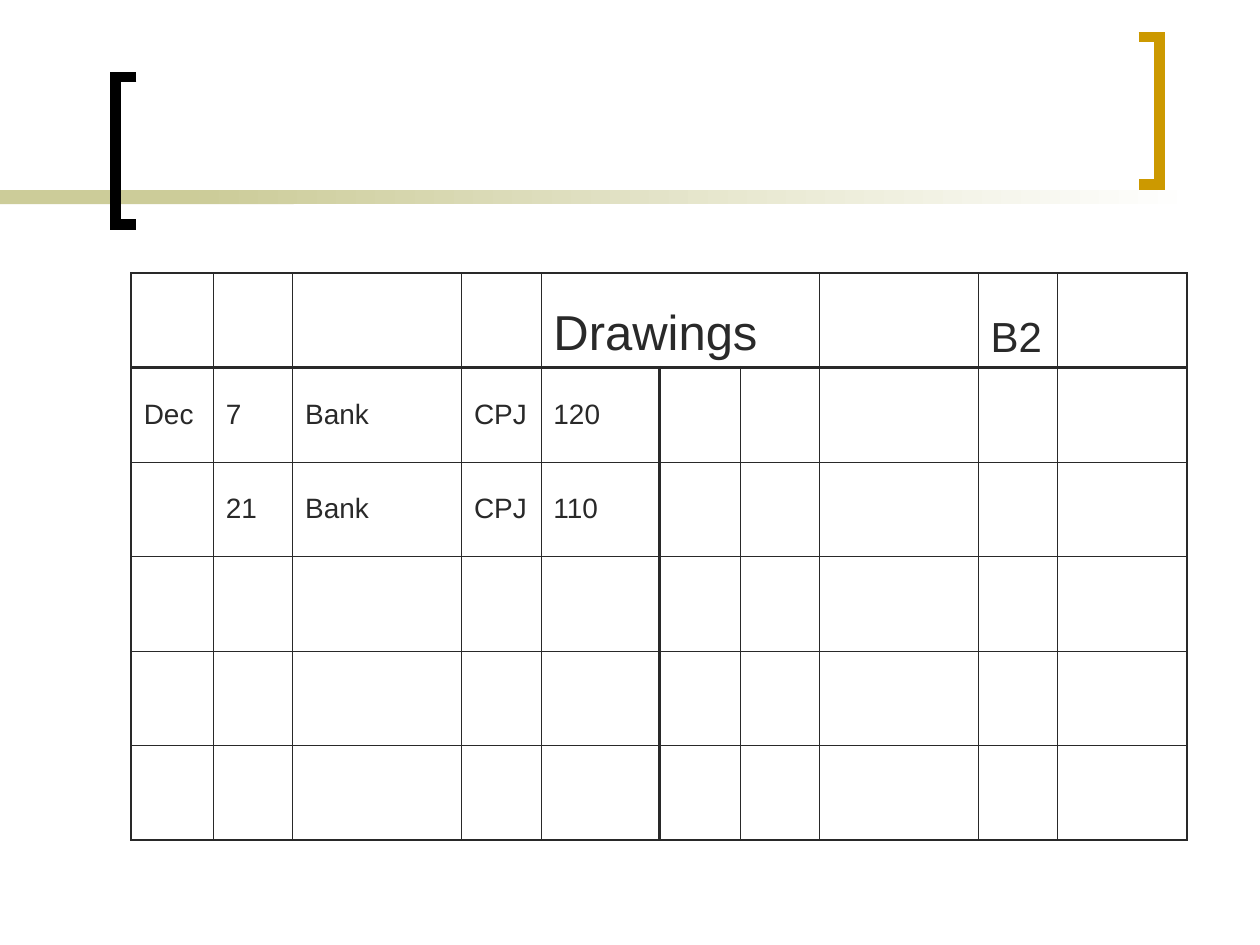
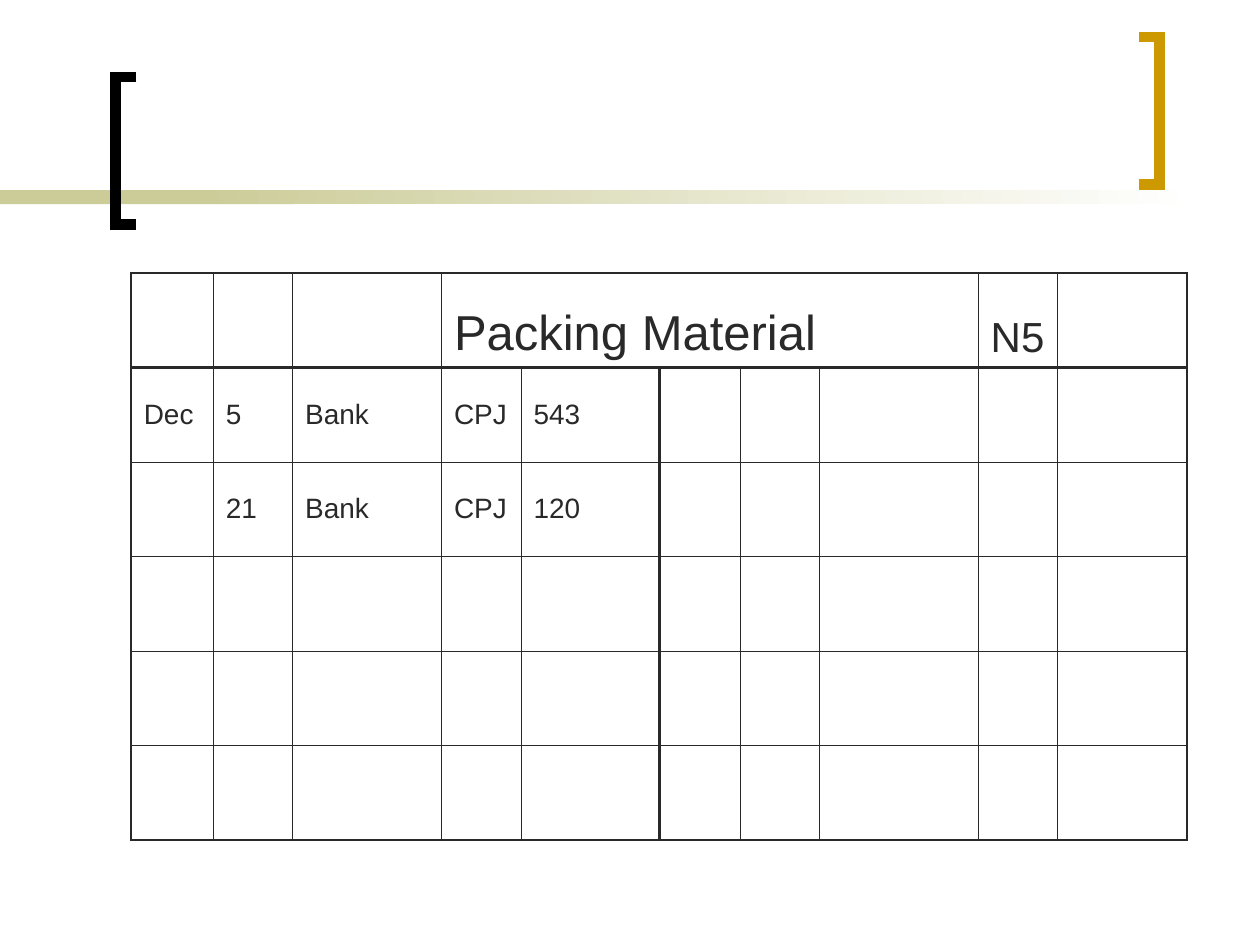
from lxml.etree import SubElement
from pptx import Presentation
from pptx.dml.color import RGBColor
from pptx.enum.shapes import MSO_SHAPE
from pptx.enum.text import MSO_ANCHOR
from pptx.oxml.ns import qn
from pptx.util import Pt

COLORS = {
    "white": "FFFFFF",
    "ink": "292929",
    "band": "CCCC99",
    "left_bracket": "000000",
    "right_bracket": "CC9900",
}
FONT = "Arial"
THIN, OUTER, HEAVY = Pt(0.45), Pt(1.08), Pt(2.21)
BRACKET_HEIGHT = 84.3
ROW_COUNT = 6
ROW_HEIGHT = 54
DIVIDER_COLUMN = 5
DATE_COLUMNS = [46.8, 45.4]
CREDIT_COLUMNS = [46.1, 45.4, 90.7, 45.4, 74.2]


def rgb(name):
    return RGBColor.from_string(COLORS[name])


def add_band(slide, left, width, fades=False):
    shape = slide.shapes.add_shape(
        MSO_SHAPE.RECTANGLE, Pt(left), Pt(108.7), Pt(width), Pt(8)
    )
    shape.shadow.inherit = False
    shape.line.fill.background()
    if fades:
        shape.fill.gradient()
        shape.fill.gradient_angle = 180
        for stop, color in zip(shape.fill.gradient_stops, ("white", "band")):
            stop.color.rgb = rgb(color)
    else:
        shape.fill.solid()
        shape.fill.fore_color.rgb = rgb("band")


def add_bracket(slide, open_x, spine_x, top, color):
    bottom = top + BRACKET_HEIGHT
    builder = slide.shapes.build_freeform(Pt(open_x), Pt(top))
    corners = [(spine_x, top), (spine_x, bottom), (open_x, bottom)]
    builder.add_line_segments([(Pt(x), Pt(y)) for x, y in corners], close=False)
    shape = builder.convert_to_shape()
    shape.shadow.inherit = False
    shape.fill.background()
    shape.line.color.rgb = rgb(color)
    shape.line.width = Pt(6)
    outline = shape.element.spPr.find(qn("a:ln"))
    SubElement(outline, qn("a:miter"), lim="800000")


def add_frame(slide):
    add_band(slide, 0, 167.8)
    add_band(slide, 114, 570, fades=True)
    add_bracket(slide, 78, 66, 44.1, "left_bracket")
    add_bracket(slide, 650.7, 662.7, 21.3, "right_bracket")


def vertical_width(row, boundary, column_count):
    if boundary in (0, column_count):
        return OUTER
    return HEAVY if boundary == DIVIDER_COLUMN and row > 0 else THIN


def horizontal_width(boundary):
    if boundary in (0, ROW_COUNT):
        return OUTER
    return HEAVY if boundary == 1 else THIN


def set_borders(cell, row, column, column_count):
    widths = {
        "a:lnL": vertical_width(row, column, column_count),
        "a:lnR": vertical_width(row, column + 1, column_count),
        "a:lnT": horizontal_width(row),
        "a:lnB": horizontal_width(row + 1),
    }
    properties = cell._tc.get_or_add_tcPr()
    for tag, width in widths.items():
        if cell.is_spanned and tag in ("a:lnL", "a:lnR"):
            continue
        border = SubElement(properties, qn(tag), w=str(int(width)))
        fill = SubElement(border, qn("a:solidFill"))
        SubElement(fill, qn("a:srgbClr"), val=COLORS["ink"])


def write_cell(cell, text, size, anchor=MSO_ANCHOR.MIDDLE):
    cell.text = text
    cell.vertical_anchor = anchor
    paragraph = cell.text_frame.paragraphs[0]
    paragraph.font.name = FONT
    paragraph.font.size = Pt(size)
    paragraph.font.color.rgb = rgb("ink")


def add_ledger(slide, account, folio, title_columns, debit_columns, entries):
    widths = DATE_COLUMNS + debit_columns + CREDIT_COLUMNS
    column_count = len(widths)
    table = slide.shapes.add_table(
        ROW_COUNT, column_count, Pt(75), Pt(156),
        Pt(sum(widths)), Pt(ROW_COUNT * ROW_HEIGHT),
    ).table
    table.first_row = False
    table.horz_banding = False
    for column, width in zip(table.columns, widths):
        column.width = Pt(width)
    for row in table.rows:
        row.height = Pt(ROW_HEIGHT)

    first, last = title_columns
    table.cell(0, first).merge(table.cell(0, last))
    for row in range(ROW_COUNT):
        for column in range(column_count):
            cell = table.cell(row, column)
            set_borders(cell, row, column, column_count)
            cell.fill.background()

    write_cell(table.cell(0, first), account, 28, MSO_ANCHOR.BOTTOM)
    write_cell(table.cell(0, 8), folio, 24, MSO_ANCHOR.BOTTOM)
    for row, entry in enumerate(entries, start=1):
        for column, text in enumerate(entry):
            if text:
                write_cell(table.cell(row, column), text, 16)


def add_ledger_slide(presentation, *ledger):
    slide = presentation.slides.add_slide(presentation.slide_layouts[6])
    add_frame(slide)
    add_ledger(slide, *ledger)


def main():
    presentation = Presentation()
    presentation.slide_width = Pt(720)
    presentation.slide_height = Pt(540)
    add_ledger_slide(
        presentation, "Drawings", "B2", (4, 6), [96.5, 45.4, 67.7],
        [("Dec", "7", "Bank", "CPJ", "120"), ("", "21", "Bank", "CPJ", "110")],
    )
    add_ledger_slide(
        presentation, "Packing Material", "N5", (3, 7), [85.1, 45.4, 79.1],
        [("Dec", "5", "Bank", "CPJ", "543"), ("", "21", "Bank", "CPJ", "120")],
    )
    presentation.save("out.pptx")


if __name__ == "__main__":
    main()
